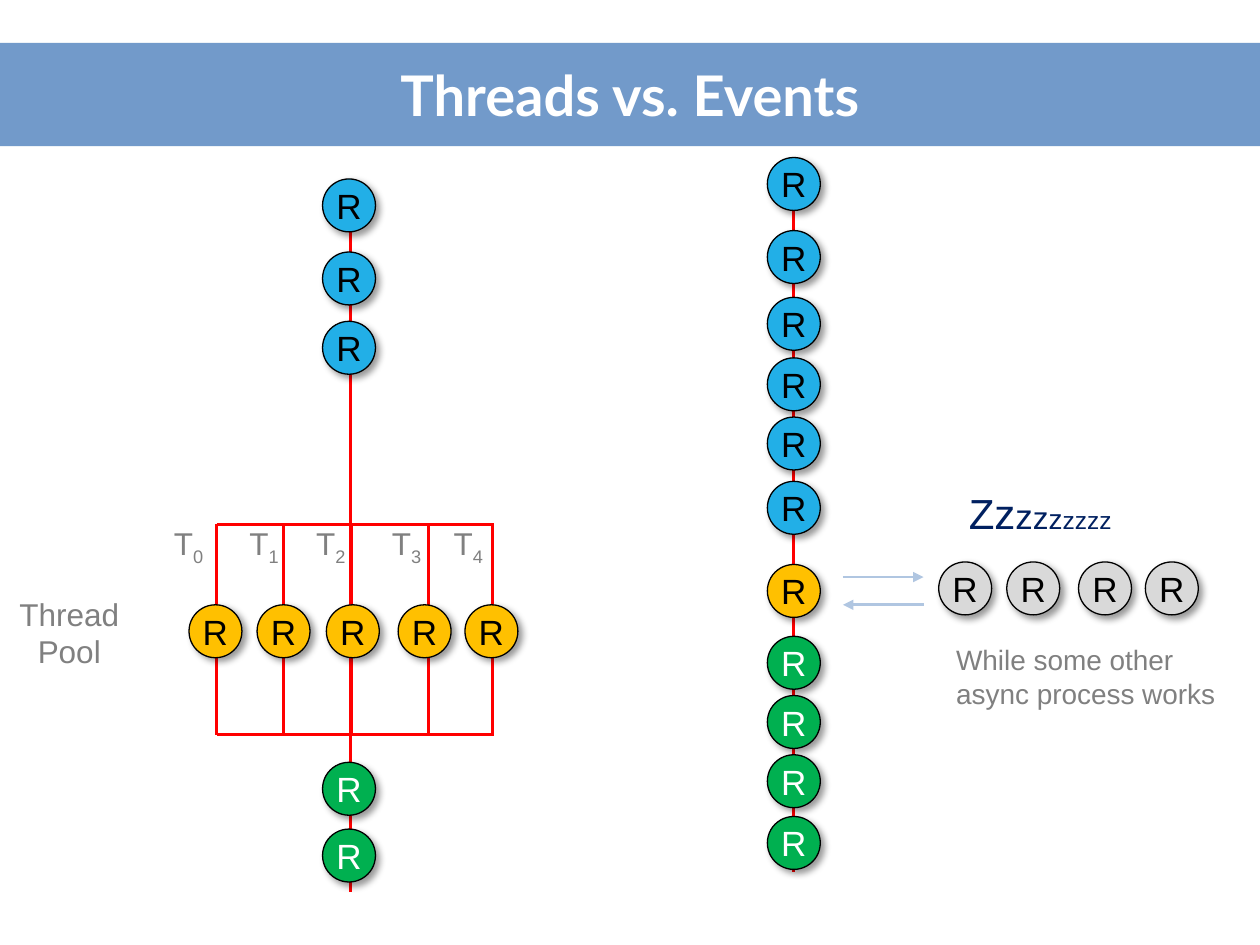
"""Build the "Threads vs. Events" slide with python-pptx."""
from dataclasses import dataclass

from lxml.etree import SubElement
from pptx import Presentation
from pptx.dml.color import RGBColor
from pptx.enum.shapes import MSO_CONNECTOR, MSO_SHAPE
from pptx.enum.text import MSO_ANCHOR, MSO_AUTO_SIZE, PP_ALIGN
from pptx.oxml import parse_xml
from pptx.oxml.ns import nsdecls, qn
from pptx.util import Pt


@dataclass(frozen=True)
class Theme:
    """Colours, fonts and type sizes."""
    band: str = "4F81BD"
    waiting: str = "22AFE7"
    working: str = "FFC000"
    done: str = "00B050"
    asleep: str = "D9D9D9"
    rail: str = "FF0000"
    arrow: str = "B0C6E1"
    black: str = "000000"
    white: str = "FFFFFF"
    grey: str = "808080"
    navy: str = "002060"
    title_font: str = "Lato"
    body_font: str = "Arial"
    title_size: int = 32
    request_size: int = 20
    label_size: int = 18
    note_size: int = 16


THEME = Theme()
DIAMETER = 30.24
POOL_LEFT, POOL_RIGHT, POOL_TOP, POOL_BOTTOM = 123.84, 282.24, 299.52, 419.76

TITLE = "Threads vs. Events"
THREADS = [
    {"name": "0", "label": 99.36, "rail": 123.84, "request": 108},
    {"name": "1", "label": 142.56, "rail": 162, "request": 146.88},
    {"name": "2", "label": 180.72, "rail": 200.88, "request": 186.48},
    {"name": "3", "label": 223.92, "rail": 244.8, "request": 227.52},
    {"name": "4", "label": 259.2, "rail": 281.52, "request": 265.68},
]
COLUMNS = [
    (184.32, THEME.waiting, [102.24, 144, 183.6]),
    (184.32, THEME.done, [435.6, 473.76]),
    (438.48, THEME.waiting, [90, 131.76, 169.92, 204.48, 238.32, 275.04]),
    (438.48, THEME.working, [322.56]),
    (438.48, THEME.done, [363.6, 397.44, 431.28, 466.56]),
]
SLEEPERS = [536.4, 575.28, 616.32, 654.48]
SNORE = [("Zz", 24), ("z", 20), ("z", 18), ("z", 16), ("zzzz", 14)]
RAILS = [
    (200.16, 120.24, 200.16, 509.76),
    (453.6, 108, 453.6, 498.24),
    (POOL_LEFT, POOL_TOP, POOL_RIGHT, POOL_TOP),
    (POOL_LEFT, POOL_BOTTOM, POOL_RIGHT, POOL_BOTTOM),
] + [(thread["rail"], POOL_TOP, thread["rail"], POOL_BOTTOM) for thread in THREADS]
ARROWS = [(481.68, 329.76, 527.76, 329.76), (527.76, 345.6, 481.68, 345.6)]


def color(value):
    return RGBColor.from_string(value)


def style(paragraph, size, value, font=THEME.body_font, align=PP_ALIGN.LEFT):
    paragraph.alignment = align
    paragraph.font.name = font
    paragraph.font.size = Pt(size)
    paragraph.font.color.rgb = color(value)


def add_line(page, ends, value, width, arrow=False):
    line = page.shapes.add_connector(MSO_CONNECTOR.STRAIGHT, *map(Pt, ends))
    line.line.color.rgb = color(value)
    line.line.width = Pt(width)
    if arrow:
        SubElement(line.line._get_or_add_ln(), qn("a:tailEnd"), type="triangle")
    SubElement(line._element.spPr, qn("a:effectLst"))


def add_request(page, left, top, fill):
    circle = page.shapes.add_shape(
        MSO_SHAPE.OVAL, Pt(left), Pt(top), Pt(DIAMETER), Pt(DIAMETER))
    circle.fill.solid()
    circle.fill.fore_color.rgb = color(fill)
    circle.line.color.rgb = color(THEME.black)
    circle.line.width = Pt(0.75)
    circle._element.spPr.append(parse_xml(
        f'<a:effectLst {nsdecls("a")}><a:outerShdw blurRad="{Pt(4)}" dist="{Pt(3)}" '
        f'dir="2700000" rotWithShape="0"><a:srgbClr val="{THEME.black}">'
        '<a:alpha val="40000"/></a:srgbClr></a:outerShdw></a:effectLst>'))
    frame = circle.text_frame
    frame.word_wrap = False
    frame.vertical_anchor = MSO_ANCHOR.MIDDLE
    frame.text = "R"
    ink = THEME.white if fill == THEME.done else THEME.black
    style(frame.paragraphs[0], THEME.request_size, ink, align=PP_ALIGN.CENTER)


def add_text(page, place, text, size, value, align=PP_ALIGN.LEFT, wrap=True):
    box = page.shapes.add_textbox(*map(Pt, place))
    frame = box.text_frame
    frame.word_wrap = wrap
    frame.auto_size = MSO_AUTO_SIZE.SHAPE_TO_FIT_TEXT
    paragraph = frame.paragraphs[0]
    paragraph.text = text
    style(paragraph, size, value, align=align)
    return frame


def add_heading(page):
    band = page.shapes.add_shape(MSO_SHAPE.RECTANGLE, 0, Pt(24.48), Pt(720), Pt(59.04))
    band.shadow.inherit = False
    band.line.fill.background()
    band.fill.solid()
    band.fill.fore_color.rgb = color(THEME.band)
    SubElement(band._element.spPr.find(".//" + qn("a:srgbClr")), qn("a:alpha"), val="80000")
    title = page.shapes.title
    band._element.addnext(title._element)
    title.left, title.top, title.width, title.height = map(Pt, (36, 23.76, 648, 59.76))
    frame = title.text_frame
    frame.text = TITLE
    frame.auto_size = MSO_AUTO_SIZE.NONE
    frame.vertical_anchor = MSO_ANCHOR.MIDDLE
    heading = frame.paragraphs[0]
    style(heading, THEME.title_size, THEME.white, THEME.title_font, PP_ALIGN.CENTER)
    heading.font.bold = True


def add_thread_label(page, thread):
    frame = add_text(page, (thread["label"], POOL_TOP, 18, 21.6), "T",
                     THEME.label_size, THEME.grey, wrap=False)
    frame.margin_left = frame.margin_top = frame.margin_right = frame.margin_bottom = 0
    span = frame.paragraphs[0].add_run()
    span.text = thread["name"]
    span.font._element.set("baseline", "-25000")


def add_snore(page):
    frame = add_text(page, (546.48, 275.04, 113.76, 36), "", SNORE[0][1], THEME.navy)
    for text, size in SNORE:
        span = frame.paragraphs[0].add_run()
        span.text = text
        span.font.size = Pt(size)


def main():
    deck = Presentation()
    deck.slide_width, deck.slide_height = Pt(720), Pt(540)
    page = deck.slides.add_slide(deck.slide_layouts[5])
    add_heading(page)
    for ends in RAILS:
        add_line(page, ends, THEME.rail, 1.75)
    for ends in ARROWS:
        add_line(page, ends, THEME.arrow, 1.5, arrow=True)
    for left, fill, tops in COLUMNS:
        for top in tops:
            add_request(page, left, top, fill)
    for thread in THREADS:
        add_request(page, thread["request"], 345.6, THEME.working)
        add_thread_label(page, thread)
    for left in SLEEPERS:
        add_request(page, left, 321.12, THEME.asleep)
    add_text(page, (3.6, 336.24, 72, 51.12), "Thread\vPool",
             THEME.label_size, THEME.grey, PP_ALIGN.CENTER)
    add_snore(page)
    add_text(page, (539.28, 363.6, 167.76, 46.08), "While some other async process works",
             THEME.note_size, THEME.grey)
    deck.save("out.pptx")


if __name__ == "__main__":
    main()
